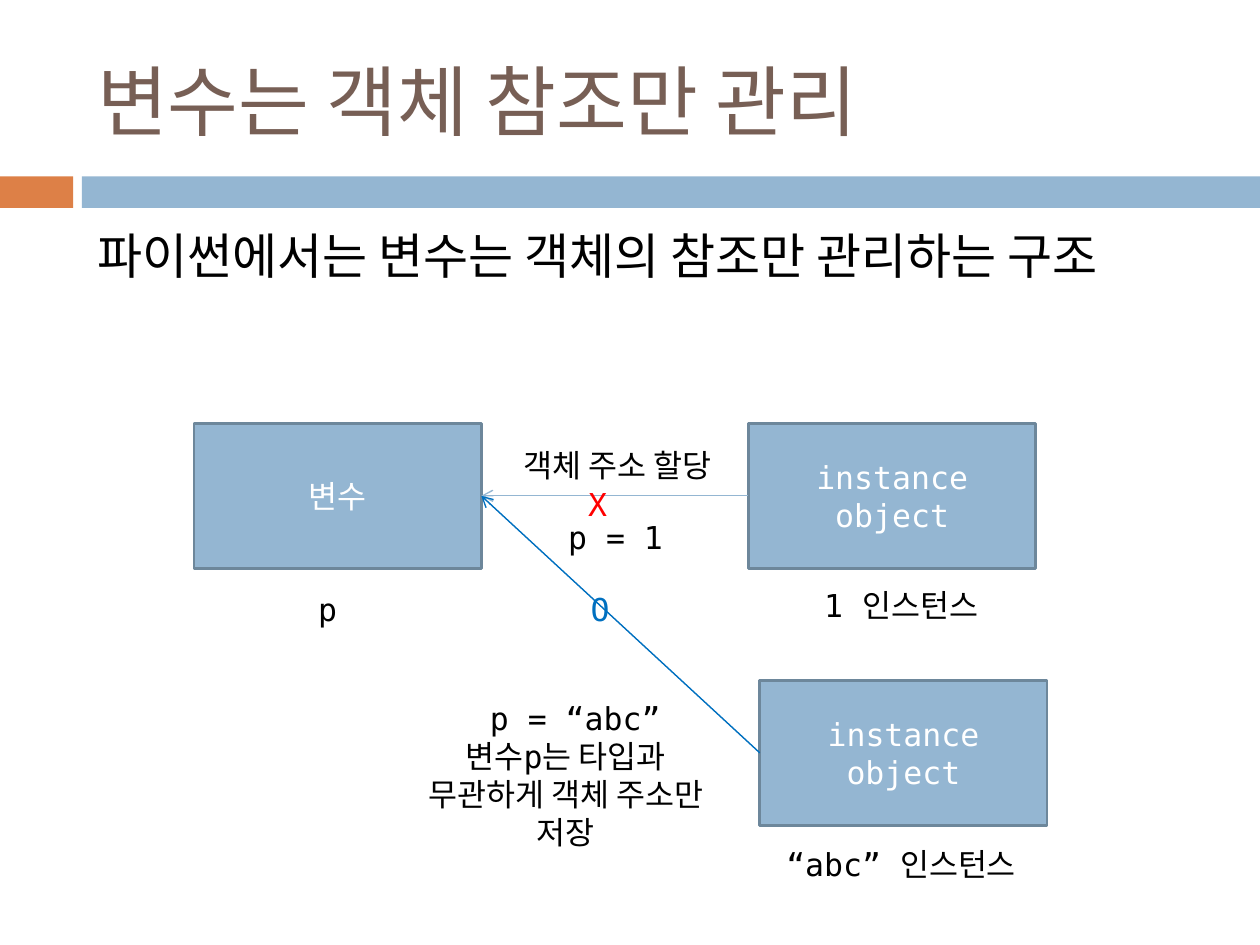
from lxml import etree
from pptx import Presentation, util as u
from pptx.dml.color import RGBColor
from pptx.enum import shapes, text
from pptx.oxml.ns import qn

FONT = "DejaVu Sans Mono"
BLUE, ORANGE, BROWN, EDGE = "94B6D2", "DD8047", "775F55", "6D879B"
BLACK, WHITE, RED, STRONG_BLUE = "000000", "FFFFFF", "FF0000", "0070C0"
BOX_WIDTH, BOX_HEIGHT = 2.28, 1.15
LABEL_WIDTH = 2.44
LEFT, CENTER = text.PP_ALIGN.LEFT, text.PP_ALIGN.CENTER
TOP, MIDDLE = text.MSO_ANCHOR.TOP, text.MSO_ANCHOR.MIDDLE


def color(value):
    return RGBColor.from_string(value)


def write(frame, lines, size, ink, align=CENTER, anchor=TOP):
    frame.vertical_anchor = anchor
    for index, line in enumerate(lines):
        para = frame.paragraphs[0] if index == 0 else frame.add_paragraph()
        para.alignment = align
        para.space_before = u.Pt(0)
        span = para.add_run()
        span.text = line
        span.font.size = u.Pt(size)
        span.font.name = FONT
        span.font.color.rgb = color(ink)


def fill_placeholder(holder, left, top, width, height, line, size, ink, anchor):
    holder.left, holder.top = u.Inches(left), u.Inches(top)
    holder.width, holder.height = u.Inches(width), u.Inches(height)
    frame = holder.text_frame
    frame.auto_size = text.MSO_AUTO_SIZE.NONE
    write(frame, [line], size, ink, LEFT, anchor)
    properties = frame.paragraphs[0]._p.get_or_add_pPr()
    properties.set("marL", "0")
    properties.set("indent", "0")
    etree.SubElement(properties, qn("a:buNone"))


def add_rectangle(page, left, top, width, height, fill):
    box = page.shapes.add_shape(
        shapes.MSO_SHAPE.RECTANGLE,
        u.Inches(left), u.Inches(top), u.Inches(width), u.Inches(height))
    box.shadow.inherit = False
    box.fill.solid()
    box.fill.fore_color.rgb = color(fill)
    box.line.fill.background()
    return box


def add_node(page, left, top, caption):
    box = add_rectangle(page, left, top, BOX_WIDTH, BOX_HEIGHT, BLUE)
    box.line.color.rgb = color(EDGE)
    box.line.width = u.Pt(1.5)
    write(box.text_frame, [caption], 18, WHITE, anchor=MIDDLE)
    return box


def add_label(page, left, top, *lines, width=LABEL_WIDTH, height=0.31,
              ink=BLACK, align=CENTER, wrap=True):
    label = page.shapes.add_textbox(
        u.Inches(left), u.Inches(top), u.Inches(width), u.Inches(height))
    label.text_frame.word_wrap = wrap
    label.text_frame.auto_size = text.MSO_AUTO_SIZE.SHAPE_TO_FIT_TEXT
    write(label.text_frame, lines, 18, ink, align)


def add_arrow(page, source, target, ink):
    """Arrow from the left side of source to the right side of target."""
    arrow = page.shapes.add_connector(shapes.MSO_CONNECTOR.STRAIGHT, 0, 0, 0, 0)
    arrow.begin_connect(source, 1)
    arrow.end_connect(target, 3)
    arrow.line.color.rgb = color(ink)
    arrow.line.width = u.Pt(0.79)
    etree.SubElement(arrow.line._get_or_add_ln(), qn("a:tailEnd")).set("type", "arrow")
    etree.SubElement(arrow._element.spPr, qn("a:effectLst"))


def main():
    deck = Presentation()
    deck.slide_width, deck.slide_height = u.Inches(10), u.Inches(7.5)
    page = deck.slides.add_slide(deck.slide_layouts[1])

    # Heading band
    add_rectangle(page, 0, 1.4, 0.58, 0.25, ORANGE)
    add_rectangle(page, 0.65, 1.4, 9.35, 0.25, BLUE)

    # Title and statement
    fill_placeholder(page.shapes.title, 0.67, 0.25, 8.92, 1.08,
                     "변수는 객체 참조만 관리", 44, BROWN, MIDDLE)
    fill_placeholder(page.placeholders[1], 0.67, 1.74, 8.74, 1.04,
                     "파이썬에서는 변수는 객체의 참조만 관리하는 구조", 28, BLACK, TOP)

    # Variable and the two instances
    variable = add_node(page, 1.54, 3.36, "변수")
    number = add_node(page, 5.94, 3.36, "instance object")
    string = add_node(page, 6.03, 5.4, "instance object")
    add_label(page, 1.38, 4.63, "p")
    add_label(page, 5.96, 4.6, "1 인스턴스 ")
    add_label(page, 5.96, 6.66, "“abc” 인스턴스 ", height=0.4)

    # References
    add_arrow(page, number, variable, BLUE)
    add_arrow(page, string, variable, STRONG_BLUE)

    # Notes beside the arrows
    add_label(page, 3.65, 3.49, " 객체 주소 할당")
    add_label(page, 3.59, 4.06, " p = 1")
    add_label(page, 3.27, 5.5, " p = “abc”",
              "변수p는 타입과 무관하게 객체 주소만 저장", height=1.31)
    add_label(page, 4.57, 3.8, "X", width=0.36, height=0.4,
              ink=RED, align=LEFT, wrap=False)
    add_label(page, 4.59, 4.63, "O", width=0.4, height=0.4,
              ink=STRONG_BLUE, align=LEFT, wrap=False)

    deck.save("out.pptx")


if __name__ == "__main__":
    main()
